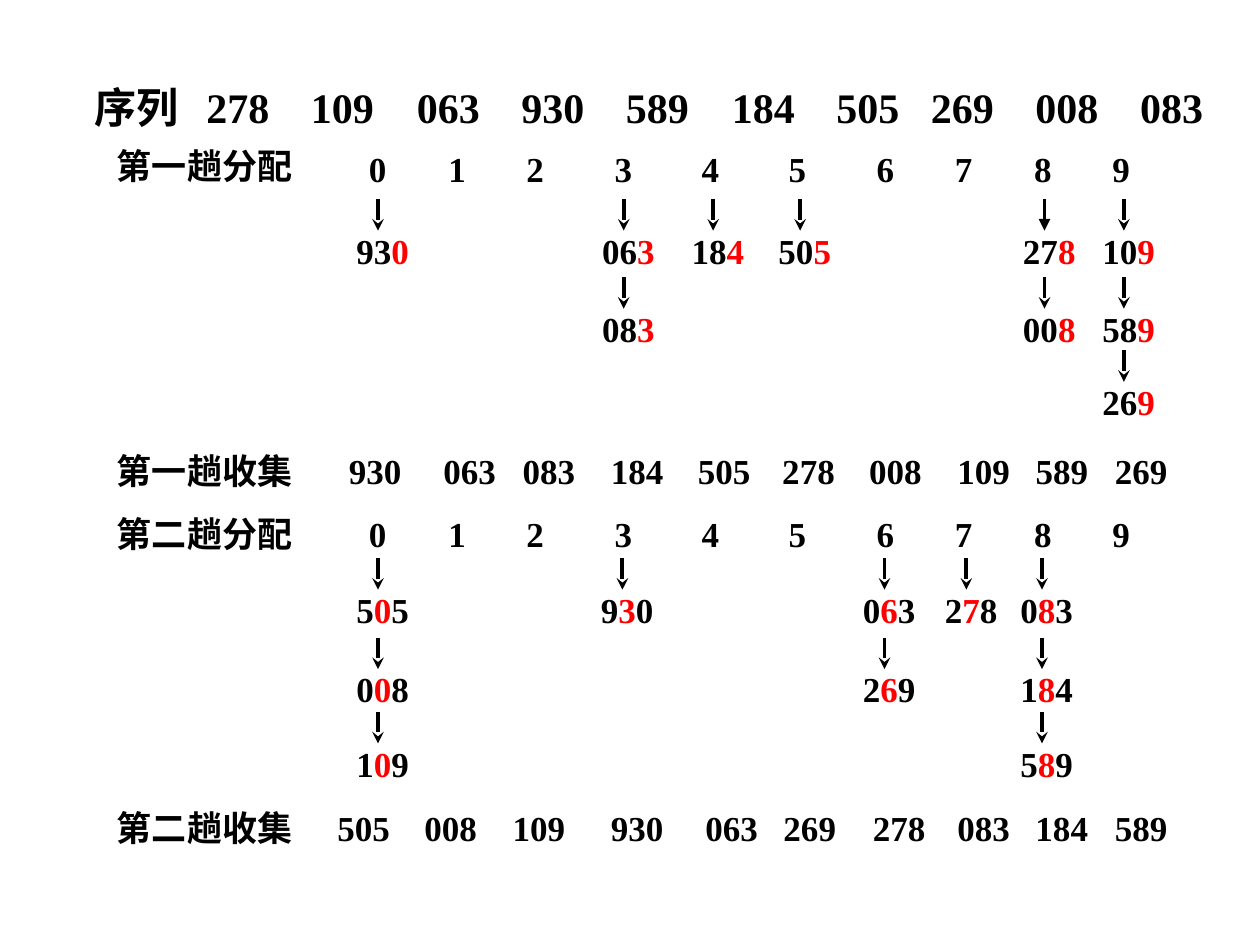
"""Radix sort slide: two passes of distributing and collecting ten keys."""
from lxml import etree
from pptx import Presentation
from pptx.dml.color import RGBColor
from pptx.enum.shapes import MSO_CONNECTOR
from pptx.enum.text import MSO_AUTO_SIZE
from pptx.oxml.ns import qn
from pptx.util import Pt

PX = 9144
STRAIGHT = MSO_CONNECTOR.STRAIGHT
GROW = MSO_AUTO_SIZE.SHAPE_TO_FIT_TEXT
BLACK, RED = "000000", "FF0000"


def color(hex_value):
    return RGBColor.from_string(hex_value)


def write(shapes, left, top, width, pieces, size=20, stops=()):
    box = shapes.add_textbox(left * PX, top * PX, width * PX, (size + 24) * PX)
    frame = box.text_frame
    frame.word_wrap = True
    frame.auto_size = GROW
    paragraph = frame.paragraphs[0]
    if stops:
        tabs = etree.SubElement(paragraph._p.get_or_add_pPr(), qn("a:tabLst"))
        for stop in stops:
            position = (stop - left - 10) * PX
            etree.SubElement(tabs, qn("a:tab"), pos=str(position), algn="l")
    for text, tone in pieces:
        run = paragraph.add_run()
        run.text = text
        run.font.name = "Times New Roman"
        run.font.size = Pt(size)
        run.font.bold = True
        run.font.color.rgb = color(tone)


prs = Presentation()
prs.slide_width, prs.slide_height = 1000 * PX, 750 * PX
slide = prs.slides.add_slide(prs.slide_layouts[6])
shapes = slide.shapes

sequence = "序列 278 109 063 930 589 184 505 269 008 083".split()
sequence_stops = [164, 247, 331, 414, 497, 581, 664, 739, 822, 905]
write(shapes, 65, 60, 910, [("\t".join(sequence), BLACK)], 24, sequence_stops)

for label, top, width in [("第一趟分配", 110, 175), ("第一趟收集", 352, 233),
                          ("第二趟分配", 402, 192), ("第二趟收集", 635, 233)]:
    write(shapes, 83, top, width, [(label, BLACK)])

digits = "\t".join("0123456789")
digit_stops = [356, 418, 488, 557, 626, 696, 758, 821, 883]
for top in (112, 402):
    write(shapes, 283, top, 692, [(digits, BLACK)], stops=digit_stops)

first_collection = [
    (267, 108, "930", []), (342, 158, "063 083", [415]),
    (475, 158, "184", []), (544, 158, "505", []),
    (611, 158, "278 008", [690]), (750, 208, "109 589 269", [822, 885]),
]
second_collection = [
    (258, 217, "505 008 109", [337, 407]), (475, 217, "930", []),
    (550, 217, "063 269", [622]), (683, 217, "278", []),
    (750, 217, "083 184 589", [822, 885]),
]
for top, collection in [(352, first_collection), (635, second_collection)]:
    for left, width, keys, stops in collection:
        text = "\t".join(keys.split())
        write(shapes, left, top, width, [(text, BLACK)], stops=stops)

first_buckets = {300: ["930"], 495: ["063", "083"], 566: ["184"], 635: ["505"],
                 829: ["278", "008"], 892: ["109", "589", "269"]}
second_buckets = {300: ["505", "008", "109"], 494: ["930"], 702: ["063", "269"],
                  767: ["278"], 827: ["083", "184", "589"]}
passes = [(first_buckets, 2, (158, 220, 278)), (second_buckets, 1, (443, 506, 565))]
for buckets, place, levels in passes:
    for x, keys in buckets.items():
        for key, y in zip(keys, levels):
            link = shapes.add_group_shape().shapes
            arrow = link.add_connector(STRAIGHT, x * PX, y * PX, x * PX, (y + 25) * PX)
            arrow.line.color.rgb = color(BLACK)
            arrow.line.width = Pt(2.25)
            head = "triangle" if (key, place) == ("278", 2) else "stealth"
            etree.SubElement(arrow.line._get_or_add_ln(), qn("a:tailEnd"), type=head)
            etree.SubElement(arrow._element.spPr, qn("a:effectLst"))
            pieces = [(digit, RED if i == place else BLACK) for i, digit in enumerate(key)]
            write(link, x - 27, y + 19, 75, pieces)

prs.save("out.pptx")
